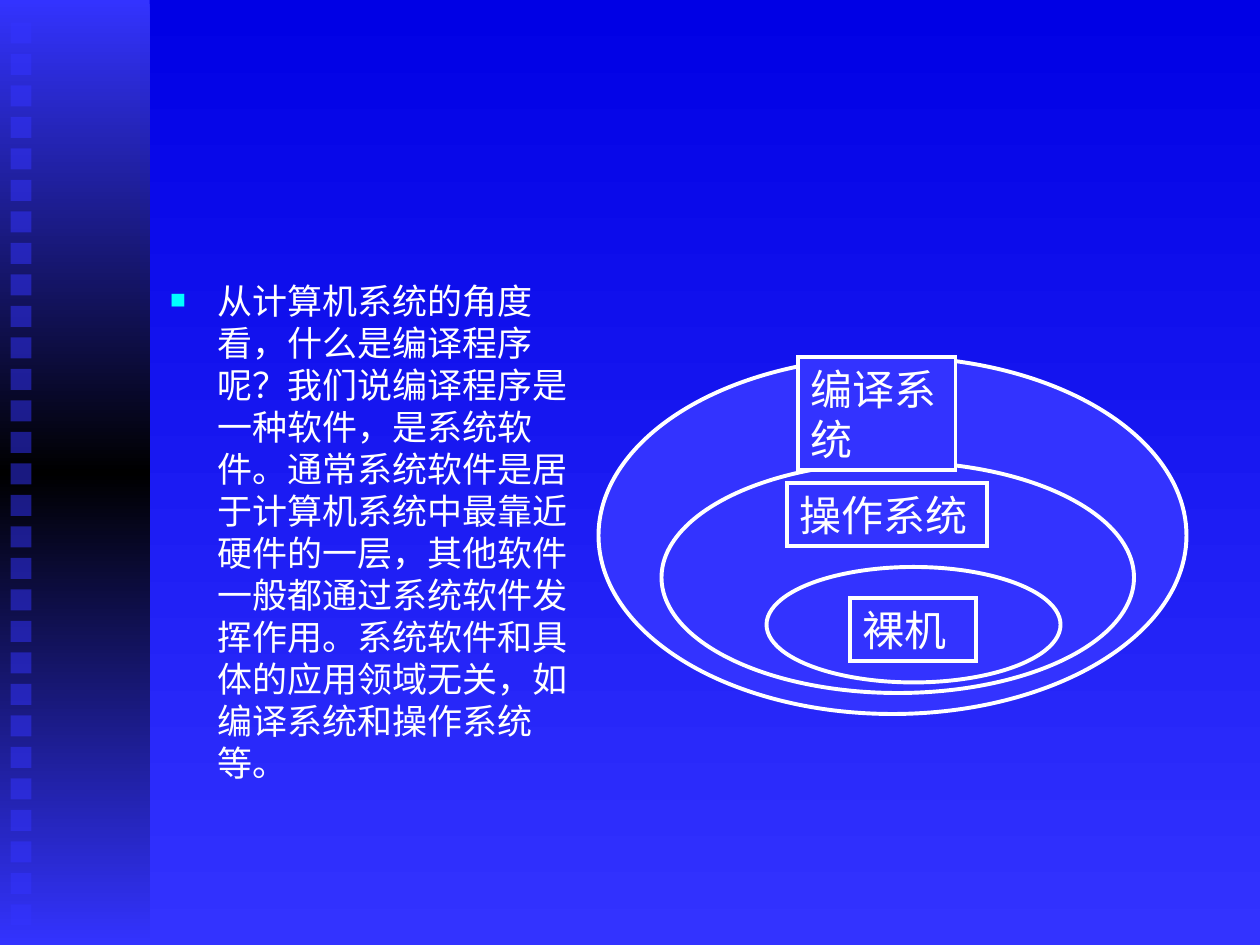
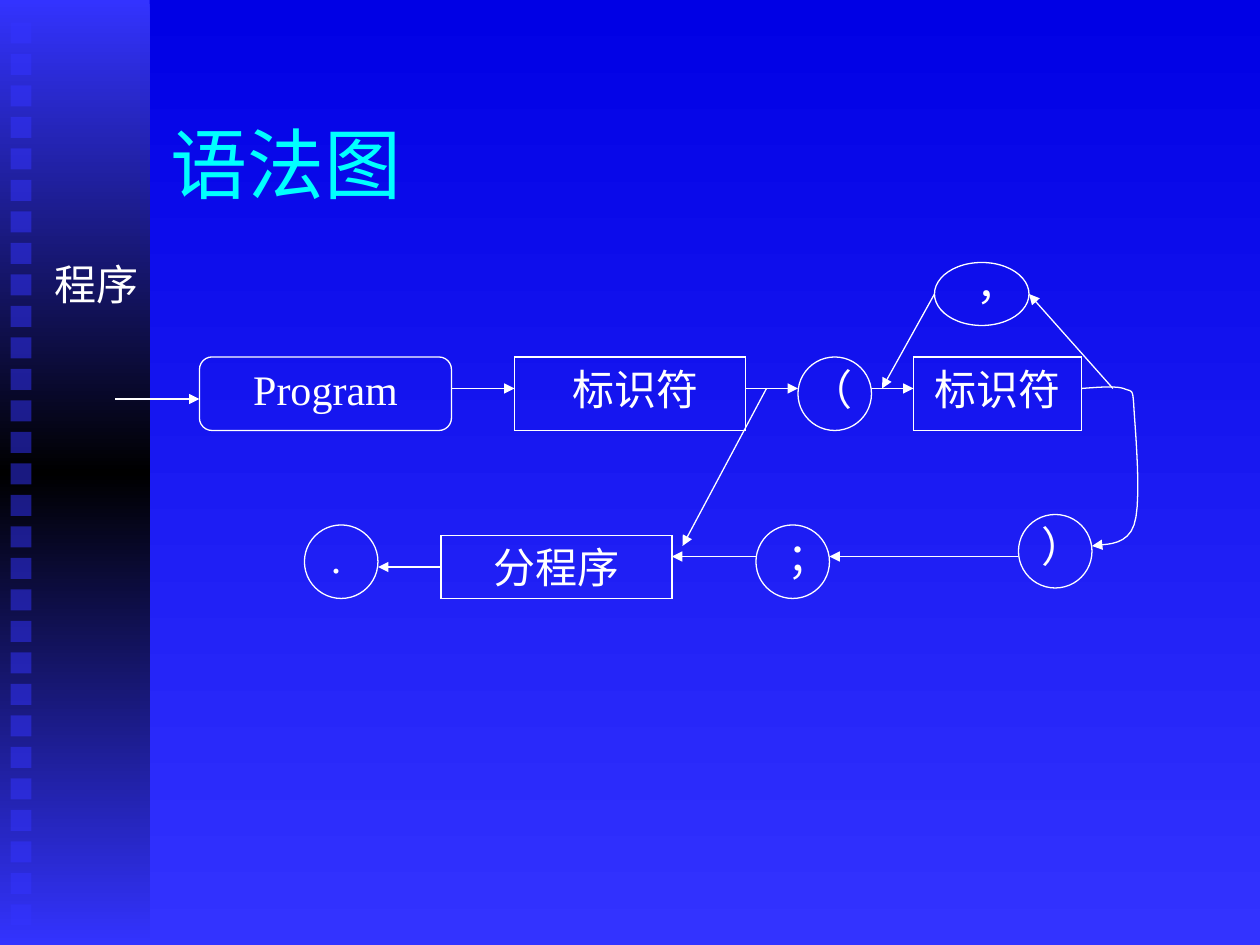
from copy import deepcopy

from lxml import etree
from pptx import Presentation
from pptx.dml.color import RGBColor
from pptx.enum import shapes, text
from pptx.oxml import ns
from pptx.util import Pt

PX = 9525  # EMU per px, 96 px to the inch
FONT = "Times New Roman"
WHITE = RGBColor(0xFF, 0xFF, 0xFF)
CYAN = RGBColor(0x00, 0xFF, 0xFF)
BLACK = RGBColor(0x00, 0x00, 0x00)
DEEP_BLUE = RGBColor(0x00, 0x00, 0xE5)
BLUE = RGBColor(0x33, 0x33, 0xFF)
LEFT, CENTER = text.PP_ALIGN.LEFT, text.PP_ALIGN.CENTER
RECTANGLE = shapes.MSO_SHAPE.RECTANGLE
ROUNDED = shapes.MSO_SHAPE.ROUNDED_RECTANGLE
OVAL = shapes.MSO_SHAPE.OVAL


def write_text(shape, content, alignment=LEFT, size=24, color=WHITE, before=15,
               anchor=text.MSO_ANCHOR.TOP, fit=text.MSO_AUTO_SIZE.SHAPE_TO_FIT_TEXT):
    frame = shape.text_frame
    frame.text = content
    frame.word_wrap = True
    frame.auto_size = fit
    frame.vertical_anchor = anchor
    paragraph = frame.paragraphs[0]
    paragraph.alignment = alignment
    paragraph.space_before = Pt(before)
    paragraph.font.name = FONT
    paragraph.font.size = Pt(size)
    paragraph.font.color.rgb = color


def add_outline(parent, kind, box, width, fill=None):
    shape = parent.shapes.add_shape(kind, *(n * PX for n in box))
    shape.shadow.inherit = False
    if fill is None:
        shape.fill.background()
    else:
        shape.fill.solid()
        shape.fill.fore_color.rgb = fill
    shape.line.color.rgb = WHITE
    shape.line.width = Pt(width)
    outline = shape.element.spPr.find(ns.qn("a:ln"))
    etree.SubElement(outline, ns.qn("a:miter"), lim="800000")
    return shape


presentation = Presentation()
presentation.slide_width = 960 * PX
presentation.slide_height = 720 * PX
master = presentation.slide_master
system_slide = presentation.slides.add_slide(presentation.slide_layouts[1])
syntax_slide = presentation.slides.add_slide(presentation.slide_layouts[5])

# Shared background
background = master.background.fill
background.gradient()
background.gradient_angle = 270
for stop, color in zip(background.gradient_stops, (DEEP_BLUE, BLUE)):
    stop.color.rgb = color

# Shared side band with its column of squares, moved to the master
side_group = system_slide.shapes.add_group_shape()
band = side_group.shapes.add_shape(RECTANGLE, 0, 0, 114 * PX, 720 * PX)
band.shadow.inherit = False
band.line.fill.background()
band.fill.gradient()
band.fill.gradient_angle = 270
stop_list = band.element.spPr.find(".//" + ns.qn("a:gsLst"))
stop_list.insert(1, deepcopy(stop_list[0]))
for stop, position, color in zip(band.fill.gradient_stops, (0, 0.5, 1), (BLUE, BLACK, BLUE)):
    stop.position = position
    stop.color.rgb = color
for row in range(29):
    square = side_group.shapes.add_shape(RECTANGLE, 8 * PX, (17 + 24 * row) * PX, 16 * PX, 16 * PX)
    square.shadow.inherit = False
    square.line.fill.background()
    square.fill.solid()
    square.fill.fore_color.rgb = BLUE
    color_element = square.element.spPr.find(".//" + ns.qn("a:srgbClr"))
    etree.SubElement(color_element, ns.qn("a:alpha"), val="50000")
for number, properties in enumerate(side_group.element.iter(ns.qn("p:cNvPr")), 100):
    properties.set("id", str(number))
master.shapes.element.insert(2, side_group.element)

# Slide 1: explanation
system_title = system_slide.shapes.title.element
system_title.getparent().remove(system_title)
body = system_slide.placeholders[1]
body.left, body.top, body.width, body.height = (n * PX for n in (120, 208, 336, 432))
write_text(
    body,
    "从计算机系统的角度看，什么是编译程序呢？我们说编译程序是一种软件，是系统软件。"
    "通常系统软件是居于计算机系统中最靠近硬件的一层，其他软件一般都通过系统软件发挥作用。"
    "系统软件和具体的应用领域无关，如编译系统和操作系统等。",
    size=20, before=5, fit=text.MSO_AUTO_SIZE.NONE)

# Slide 1: square bullet, hanging indent, punctuation kept inside the margin
paragraph_properties = body.element.find(".//" + ns.qn("a:pPr"))
paragraph_properties.set("marL", str(36 * PX))
paragraph_properties.set("indent", str(-36 * PX))
paragraph_properties.set("hangingPunct", "0")
default_font = paragraph_properties.find(ns.qn("a:defRPr"))
bullet_color = etree.Element(ns.qn("a:buClr"))
etree.SubElement(bullet_color, ns.qn("a:srgbClr"), val=str(CYAN))
bullet_size = etree.Element(ns.qn("a:buSzPct"), val="75000")
bullet_font = etree.Element(ns.qn("a:buFont"), typeface=FONT)
bullet_mark = etree.Element(ns.qn("a:buChar"), char="■")
for element in (bullet_color, bullet_size, bullet_font, bullet_mark):
    default_font.addprevious(element)

# Slide 1: nested layers of the system
layers = system_slide.shapes.add_group_shape()
for box in ((456, 272, 448, 272), (504, 352, 360, 176), (584, 432, 224, 88)):
    add_outline(layers, OVAL, box, 2.25, BLUE)
for layer_name, box in (
    ("操作系统", (600, 368, 152, 48)),
    ("编译系统", (608, 272, 120, 86)),
    ("裸机", (648, 456, 96, 48)),
):
    write_text(add_outline(layers, RECTANGLE, box, 2.25, BLUE), layer_name)

# Slide 2: title
title = syntax_slide.shapes.title
title.left, title.top, title.width, title.height = (n * PX for n in (120, 64, 816, 120))
write_text(title, "语法图", size=44, color=CYAN, before=0,
           anchor=text.MSO_ANCHOR.MIDDLE, fit=text.MSO_AUTO_SIZE.NONE)

# Slide 2: symbols of the syntax diagram
program_box = add_outline(syntax_slide, ROUNDED, (152, 272, 192, 56), 0.75)
program_box.adjustments[0] = 0.17
for box in ((392, 272, 176, 56), (696, 272, 128, 56)):
    add_outline(syntax_slide, RECTANGLE, box, 0.75)
for left, top in ((608, 272), (776, 392), (576, 400), (232, 400)):
    add_outline(syntax_slide, OVAL, (left, top, 56, 56), 0.75)
add_outline(syntax_slide, OVAL, (712, 200, 72, 48), 0.75)
block_box = add_outline(syntax_slide, RECTANGLE, (336, 408, 176, 48), 0.75)
write_text(block_box, "分程序", CENTER)

# Slide 2: labels, all 48 px high
for content, left, top, width, alignment in (
    ("Program", 160, 272, 176, CENTER),
    ("标识符", 400, 272, 168, CENTER),
    ("（", 608, 272, 56, LEFT),
    ("标识符", 688, 272, 144, CENTER),
    ("）", 784, 392, 64, LEFT),
    ("，", 704, 192, 112, CENTER),
    ("；", 560, 400, 112, CENTER),
    (".", 192, 400, 128, CENTER),
    ("程序", 32, 192, 104, LEFT),
):
    label = syntax_slide.shapes.add_textbox(left * PX, top * PX, width * PX, 48 * PX)
    write_text(label, content, alignment)

# Slide 2: straight arrows
arrows = []
for ends in (
    (88, 304, 152, 304),
    (344, 296, 392, 296),
    (568, 296, 608, 296),
    (664, 296, 696, 296),
    (848, 296, 784, 224),
    (712, 224, 672, 296),
    (776, 424, 632, 424),
    (576, 424, 512, 424),
    (584, 296, 520, 416),
    (336, 432, 288, 432),
):
    arrows.append(syntax_slide.shapes.add_connector(
        shapes.MSO_CONNECTOR.STRAIGHT, *(n * PX for n in ends)))
arrows[-1].begin_connect(block_box, 1)

# Slide 2: curved arrow, sampled from cubic curves
start = (824, 296)
curve_points = []
for first, second, end in (
    ((837, 295), (850, 294), (856, 296)),
    ((863, 299), (863, 295), (864, 312)),
    ((865, 329), (870, 383), (864, 400)),
    ((858, 418), (837, 414), (832, 416)),
):
    origin = curve_points[-1] if curve_points else start
    for step in range(1, 11):
        t = step / 10
        curve_points.append(tuple(
            a * (1 - t) ** 3 + 3 * b * t * (1 - t) ** 2 + 3 * c * t ** 2 * (1 - t) + d * t ** 3
            for a, b, c, d in zip(origin, first, second, end)))
builder = syntax_slide.shapes.build_freeform(start[0] * PX, start[1] * PX)
builder.add_line_segments([(x * PX, y * PX) for x, y in curve_points], close=False)
curve = builder.convert_to_shape()
curve.fill.background()
arrows.append(curve)

# Slide 2: arrow style
for arrow in arrows:
    arrow.line.color.rgb = WHITE
    arrow.line.width = Pt(0.75)
    outline = arrow.element.spPr.find(ns.qn("a:ln"))
    etree.SubElement(outline, ns.qn("a:tailEnd"), type="triangle")
    etree.SubElement(arrow.element.spPr, ns.qn("a:effectLst"))

presentation.save("out.pptx")
